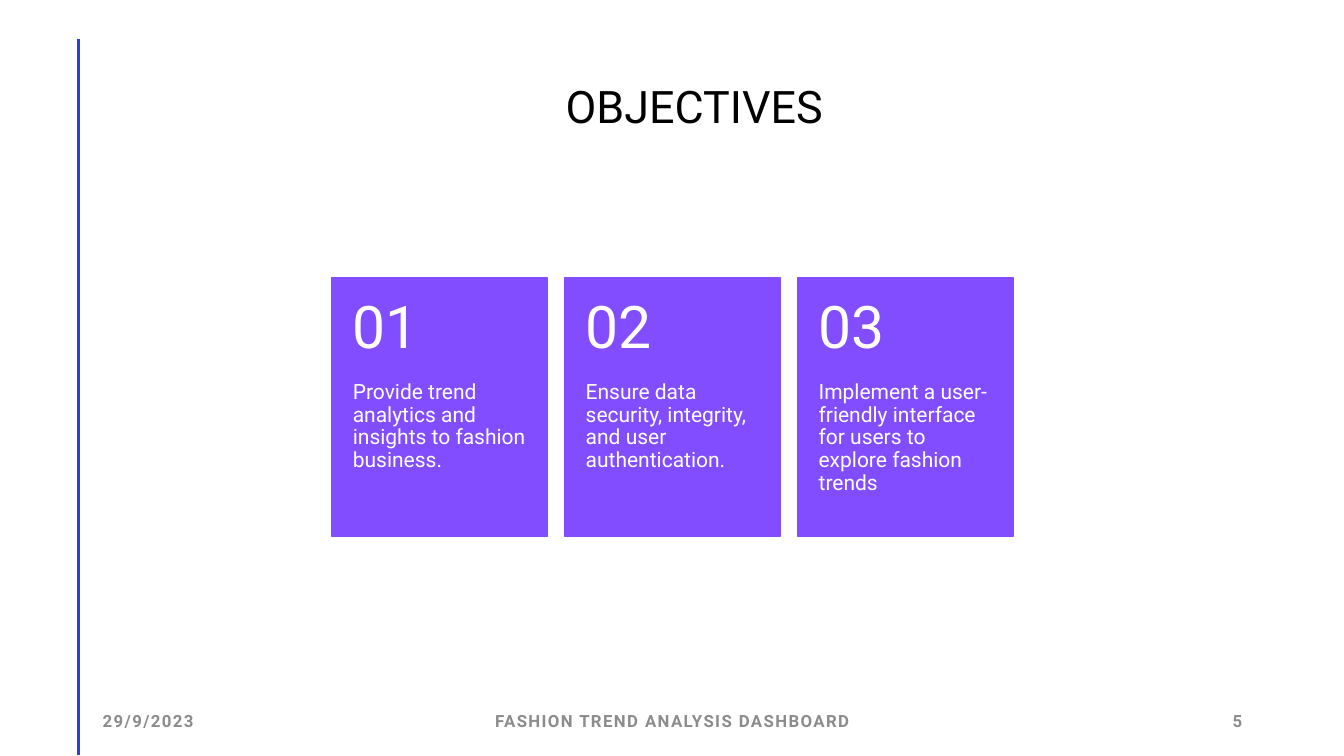
from dataclasses import dataclass
from lxml.etree import SubElement
from pptx import Presentation
from pptx.dml.color import RGBColor
from pptx.enum.shapes import MSO_CONNECTOR, MSO_SHAPE
from pptx.enum.text import MSO_ANCHOR, MSO_AUTO_SIZE, PP_ALIGN
from pptx.oxml.ns import qn
from pptx.util import Inches, Pt


@dataclass(frozen=True)
class Theme:
    font: str = "Roboto"
    rule: str = "2B3FE0"
    card: str = "814DFF"
    dark: str = "000000"
    light: str = "FFFFFF"
    muted: str = "8C8C8C"
    title: int = 32
    number: int = 42
    body: int = 15
    footer: int = 12


THEME = Theme()
GOALS = [
    "Provide trend analytics and insights to fashion business.",
    "Ensure data security, integrity, and user authentication.",
    "Implement a user-friendly interface for users to explore fashion trends",
]


def color(code):
    return RGBColor.from_string(code)


def write(shape, text, size, ink, align=PP_ALIGN.LEFT, anchor=MSO_ANCHOR.MIDDLE,
          inset=(0.1, 0.05, 0.1, 0.05), bold=False, track=0, line=1.0):
    frame = shape.text_frame
    frame.word_wrap = True
    frame.auto_size = MSO_AUTO_SIZE.NONE
    frame.vertical_anchor = anchor
    sides = [Inches(side) for side in inset]
    frame.margin_left, frame.margin_top, frame.margin_right, frame.margin_bottom = sides
    para = frame.paragraphs[0]
    para.alignment = align
    para.line_spacing = line
    run = para.add_run()
    run.text = text
    font = run.font
    font.name, font.size, font.bold = THEME.font, Pt(size), bold
    font.color.rgb = color(ink)
    if track:
        run._r.get_or_add_rPr().set("spc", str(track * 100))


def add_text(slide, box, text, size, ink, **style):
    shape = slide.shapes.add_textbox(*[Inches(part) for part in box])
    write(shape, text, size, ink, **style)


def add_rule(slide, box):
    left, top, width, height = box
    rule = slide.shapes.add_connector(
        MSO_CONNECTOR.STRAIGHT, Inches(left), Inches(top),
        Inches(left + width), Inches(top + height))
    rule.line.color.rgb = color(THEME.rule)
    rule.line.width = Pt(2)
    SubElement(rule._element.spPr, qn("a:effectLst"))


def add_title(slide, box, text):
    title = slide.shapes.title
    title.left, title.top, title.width, title.height = [Inches(part) for part in box]
    write(title, text, THEME.title, THEME.dark, anchor=MSO_ANCHOR.BOTTOM, line=0.9)


def add_card(slide, box, number, text):
    left, top, width, height = box
    head = height * 0.4
    card = slide.shapes.add_shape(MSO_SHAPE.RECTANGLE, *[Inches(part) for part in box])
    card.shadow.inherit = False
    card.fill.solid()
    card.fill.fore_color.rgb = color(THEME.card)
    card.line.color.rgb = color(THEME.card)
    card.line.width = Pt(1)
    add_text(slide, (left, top + head, width, height - head), text, THEME.body,
             THEME.light, anchor=MSO_ANCHOR.TOP, inset=(0.21, 0, 0.21, 0.36), line=0.9)
    add_text(slide, (left, top, width, head), f"{number:02}", THEME.number,
             THEME.light, inset=(0.21, 0.18, 0.21, 0.18), line=0.9)


def add_cards(slide, box, goals, gap=0.17):
    left, top, width, height = box
    wide = (width - gap * (len(goals) - 1)) / len(goals)
    for index, goal in enumerate(goals):
        spot = (left + index * (wide + gap), top, wide, height)
        add_card(slide, spot, index + 1, goal)


def add_footer(slide, box, date, label, page):
    left, top, width, height = box
    side, mid = 3, 4.5
    parts = [
        (left, side, date, PP_ALIGN.LEFT),
        (left + 3.5, mid, label, PP_ALIGN.CENTER),
        (left + width - side, side, page, PP_ALIGN.RIGHT),
    ]
    for start, wide, text, align in parts:
        add_text(slide, (start, top, wide, height), text, THEME.footer, THEME.muted,
                 align=align, bold=True, track=1)


def main():
    deck = Presentation()
    deck.slide_width, deck.slide_height = Inches(13.33), Inches(7.5)
    slide = deck.slides.add_slide(deck.slide_layouts[5])
    add_rule(slide, (0.78, 0.39, 0, 7.1))
    add_title(slide, (5.51, -0.38, 4.3, 1.75), "OBJECTIVES")
    add_footer(slide, (0.92, 6.95, 11.5, 0.4), "29/9/2023",
               "FASHION TREND ANALYSIS DASHBOARD", "5")
    add_cards(slide, (3.29, 2.76, 6.76, 2.56), GOALS)
    deck.save("out.pptx")


if __name__ == "__main__":
    main()
